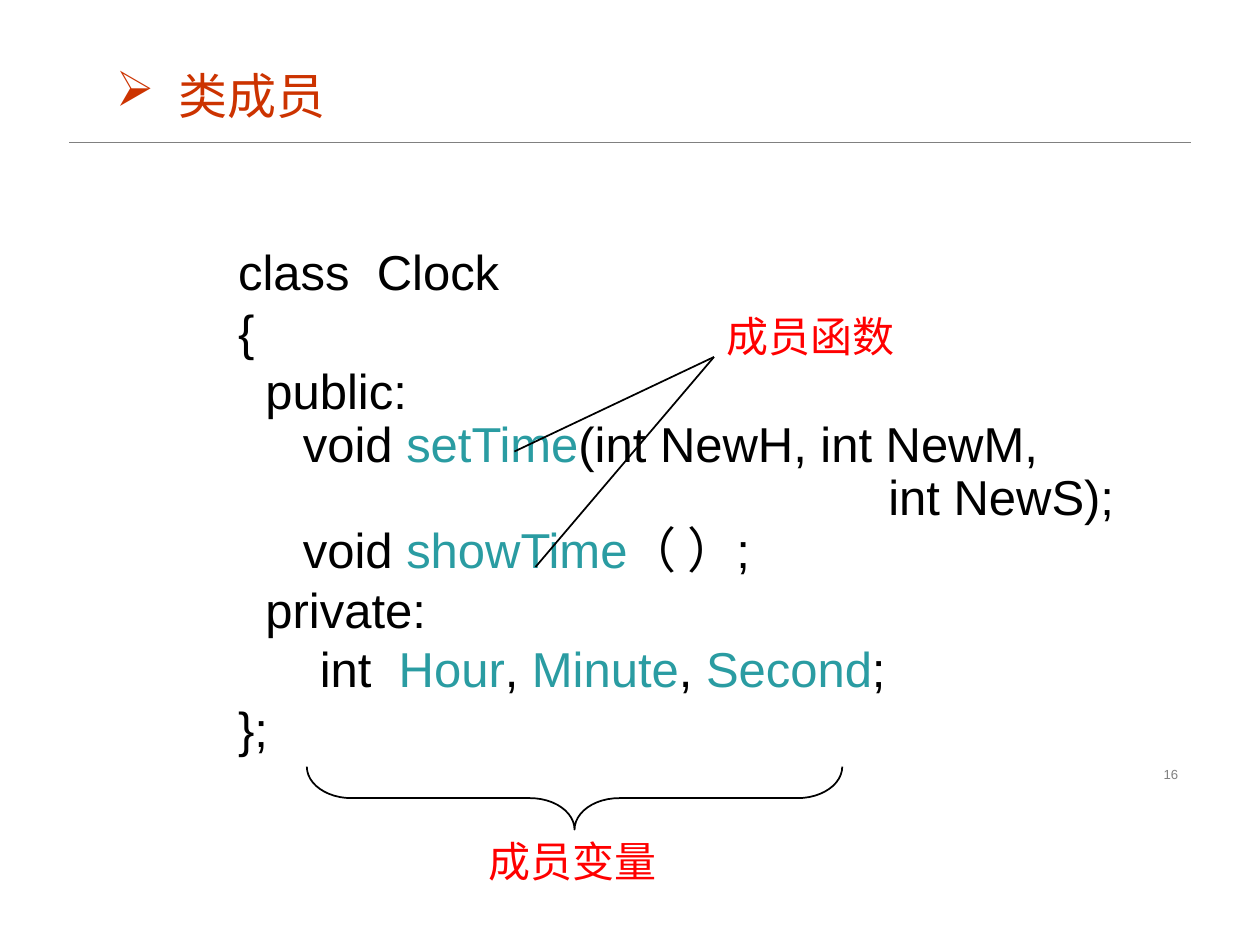
from typing import NamedTuple

from lxml.etree import SubElement
from pptx import Presentation
from pptx.dml.color import RGBColor
from pptx.enum.shapes import MSO_CONNECTOR as Connector, MSO_SHAPE as Shape
from pptx.enum.text import MSO_ANCHOR as Anchor, MSO_AUTO_SIZE as AutoSize, PP_ALIGN as Align
from pptx.oxml.ns import qn
from pptx.util import Pt

BLACK, GRAY, TEAL = "000000", "808080", "2A9CA2"
RED, RUST = "FF0000", "CC3300"
SANS, SERIF = "Arial", "Times New Roman"


class Span(NamedTuple):
    text: str
    color: str = BLACK


class CodeLine(NamedTuple):
    indent: float
    before: float
    spans: list[Span]


class Caption(NamedTuple):
    text: str
    left: float
    top: float
    width: float
    height: float
    size: float
    font: str
    color: str
    align: Align


class Rule(NamedTuple):
    start: tuple[float, float]
    end: tuple[float, float]
    color: str
    weight: float


GAP = 3.8
CODE = [
    CodeLine(26.7, GAP, [Span("class  Clock")]),
    CodeLine(26.7, GAP, [Span("{")]),
    CodeLine(42.3, GAP, [Span("public:")]),
    CodeLine(63.7, 0, [Span("void "), Span("setTime", TEAL), Span("(int NewH, int NewM,")]),
    CodeLine(398.2, 0, [Span("int NewS);")]),
    CodeLine(63.7, 0, [Span("void "), Span("showTime", TEAL), Span("（ ）;")]),
    CodeLine(42.3, GAP, [Span("private:")]),
    CodeLine(73.4, GAP, [Span("int  "), Span("Hour", TEAL), Span(", "), Span("Minute", TEAL),
                         Span(", "), Span("Second", TEAL), Span(";")]),
    CodeLine(26.7, GAP, [Span("};")]),
]
CAPTIONS = [
    Caption("16", 508.3, 436.3, 172.1, 12.2, 7.5, SANS, GRAY, Align.RIGHT),
    Caption("成员变量", 264, 474, 126, 36, 24, SERIF, RED, Align.CENTER),
    Caption("成员函数", 408, 174, 126, 36, 24, SERIF, RED, Align.LEFT),
]
FUNCTION_LABEL = (408, 204)
RULES = [
    Rule((39.6, 81), (680.4, 81), GRAY, 0.25),
    Rule((306, 324), FUNCTION_LABEL, BLACK, 1),
    Rule((294, 258), FUNCTION_LABEL, BLACK, 1),
]


def rgb(color: str) -> RGBColor:
    """Turn a hex string into a colour."""
    return RGBColor.from_string(color)


def place(shape, left: float, top: float, width: float, height: float) -> None:
    """Move and size a shape, in points."""
    shape.left, shape.top = Pt(left), Pt(top)
    shape.width, shape.height = Pt(width), Pt(height)


def add_span(para, text: str, size: float, font: str, color: str) -> None:
    """Add one formatted run to a paragraph."""
    span = para.add_run()
    span.text = text
    span.font.size, span.font.name = Pt(size), font
    span.font.color.rgb = rgb(color)


def set_indent(para, margin: float, first: float, bullet: str = "") -> None:
    """Set the left margin, first-line offset and bullet of a paragraph."""
    props = para._p.get_or_add_pPr()
    props.set("marL", str(Pt(margin)))
    props.set("indent", str(Pt(first)))
    if bullet:
        SubElement(props, qn("a:buChar")).set("char", bullet)
    else:
        SubElement(props, qn("a:buNone"))


def fill_title(title) -> None:
    """Write the bulleted heading."""
    place(title, 59, 33.8, 135.4, 41)
    frame = title.text_frame
    frame.word_wrap, frame.auto_size = False, AutoSize.NONE
    frame.vertical_anchor = Anchor.TOP
    para = frame.paragraphs[0]
    para.alignment = Align.LEFT
    set_indent(para, 36, -36, "➢")
    add_span(para, "类成员", 28, SERIF, RUST)


def fill_code(body) -> None:
    """Write the class listing, one paragraph per code line."""
    place(body, 102.2, 138.2, 570.2, 354.2)
    frame = body.text_frame
    frame.auto_size = AutoSize.NONE
    for number, line in enumerate(CODE):
        para = frame.add_paragraph() if number else frame.paragraphs[0]
        para.line_spacing, para.space_before = 0.9, Pt(line.before)
        set_indent(para, line.indent, 0)
        for span in line.spans:
            add_span(para, span.text, 28, SANS, span.color)


def add_caption(page, caption: Caption) -> None:
    """Add a one-line text box."""
    box = page.shapes.add_textbox(Pt(caption.left), Pt(caption.top),
                                  Pt(caption.width), Pt(caption.height))
    frame = box.text_frame
    frame.word_wrap, frame.vertical_anchor = True, Anchor.MIDDLE
    para = frame.paragraphs[0]
    para.alignment = caption.align
    add_span(para, caption.text, caption.size, caption.font, caption.color)


def add_rule(page, rule: Rule) -> None:
    """Add a straight line without shadow."""
    line = page.shapes.add_connector(Connector.STRAIGHT, *map(Pt, rule.start + rule.end))
    line.line.color.rgb, line.line.width = rgb(rule.color), Pt(rule.weight)
    SubElement(line._element.spPr, qn("a:effectLst"))


def add_brace(page) -> None:
    """Add the brace below the listing, turned to point down."""
    brace = page.shapes.add_shape(Shape.RIGHT_BRACE, Pt(310.3), Pt(303.1), Pt(36), Pt(306))
    brace.rotation = 90
    brace.adjustments[0], brace.adjustments[1] = 0.708, 0.5
    brace.shadow.inherit = False
    brace.fill.background()
    brace.line.color.rgb, brace.line.width = rgb(BLACK), Pt(1)


def main() -> None:
    """Build and save the slide."""
    deck = Presentation()
    deck.slide_width, deck.slide_height = Pt(720), Pt(540)
    page = deck.slides.add_slide(deck.slide_layouts[1])
    fill_title(page.shapes.title)
    fill_code(page.placeholders[1])
    add_brace(page)
    for rule in RULES:
        add_rule(page, rule)
    for caption in CAPTIONS:
        add_caption(page, caption)
    deck.save("out.pptx")


main()
